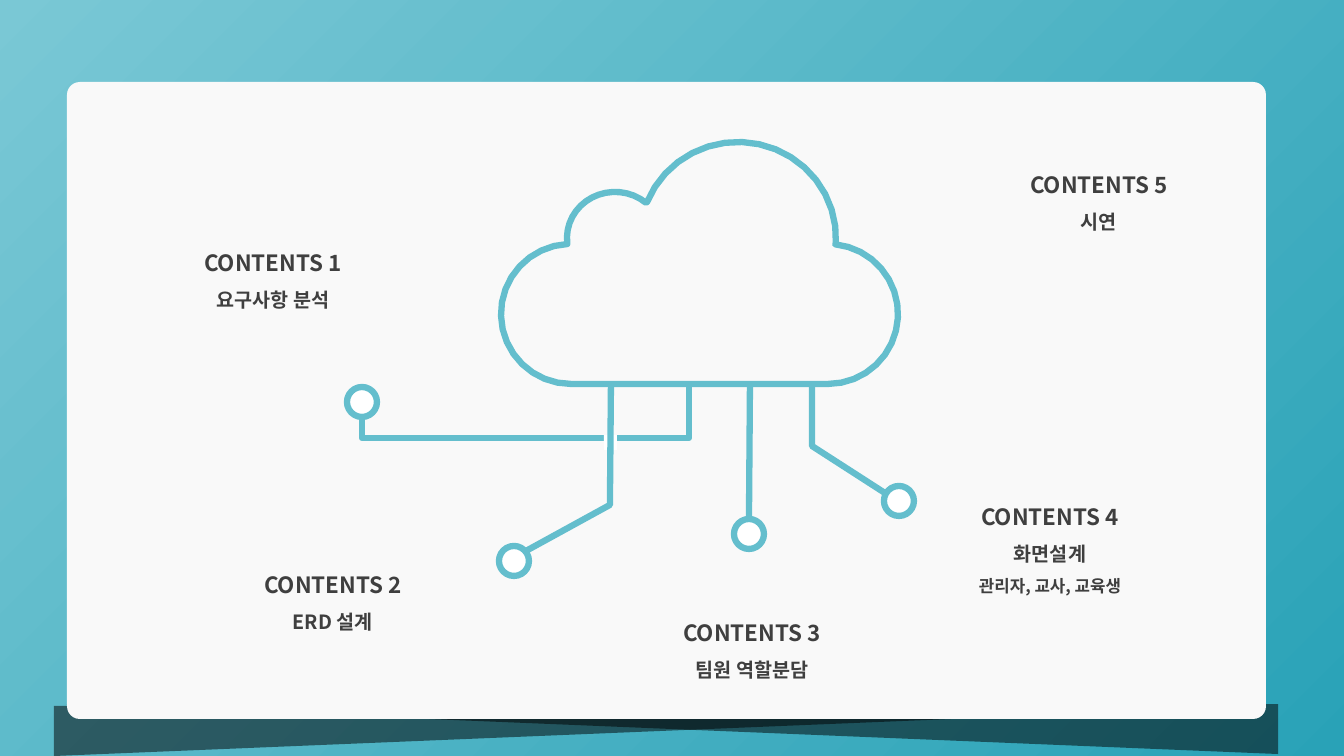
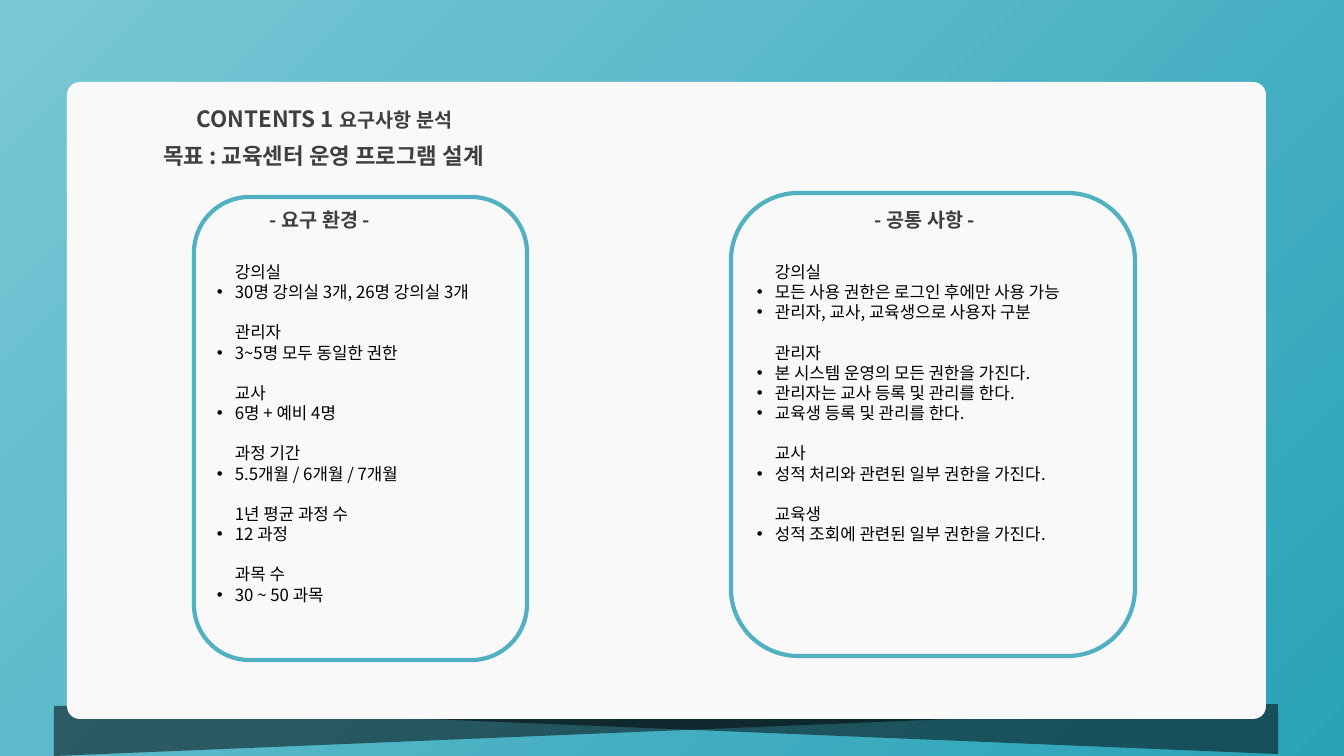
"""Builds the contents slide and the requirements slide of the training-centre project."""
from math import cos, radians, sin

from lxml.etree import SubElement
from pptx import Presentation
from pptx.dml.color import RGBColor
from pptx.enum.shapes import MSO_CONNECTOR, MSO_SHAPE
from pptx.enum.text import PP_ALIGN
from pptx.oxml.ns import qn
from pptx.util import Emu, Pt

SLIDE_W, SLIDE_H = 1344, 756
EMU_PER_PX = 12192000 / SLIDE_W

SKY = RGBColor(0x7A, 0xC8, 0xD5)
LAGOON = RGBColor(0x29, 0xA2, 0xB7)
CARD = RGBColor(0xF9, 0xF9, 0xF9)
WHITE = RGBColor(0xFF, 0xFF, 0xFF)
BLACK = RGBColor(0x00, 0x00, 0x00)
HEADING = RGBColor(0x3F, 0x3F, 0x3F)
CABLE = RGBColor(0x64, 0xBE, 0xCD)
PANEL = RGBColor(0x51, 0xB0, 0xC2)

FONT = "Noto Sans CJK KR"
CABLE_PT = 4.5
NODE = 30
TEXT_INDENT = 18

CONTENTS = [
    (139, 231, ["CONTENTS 1", "요구사항 분석"]),
    (199, 553, ["CONTENTS 2", "ERD 설계"]),
    (618, 601, ["CONTENTS 3", "팀원 역할분담"]),
    (916, 485, ["CONTENTS 4", "화면설계", "관리자, 교사, 교육생"]),
    (965, 153, ["CONTENTS 5", "시연"]),
]
CONTENTS_SIZES = (16, 14, 12)

# Each lobe: centre x, centre y, radius x, radius y, start and end angle.
CLOUD_LOBES = [
    (571, 314, 70, 70, 90, 267),
    (615, 238, 48, 46, 173, 310),
    (738, 238, 98, 96, 202, 363),
    (828, 314, 70, 70, 276, 450),
]

ENVIRONMENT = [
    ("강의실", ["30명 강의실 3개, 26명 강의실 3개"]),
    ("관리자", ["3~5명 모두 동일한 권한"]),
    ("교사", ["6명 + 예비 4명"]),
    ("과정 기간", ["5.5개월 / 6개월 / 7개월"]),
    ("1년 평균 과정 수", ["12 과정"]),
    ("과목 수", ["30 ~ 50 과목"]),
]
COMMON_RULES = [
    ("강의실", ["모든 사용 권한은 로그인 후에만 사용 가능",
             "관리자, 교사, 교육생으로 사용자 구분"]),
    ("관리자", ["본 시스템 운영의 모든 권한을 가진다.",
             "관리자는 교사 등록 및 관리를 한다.",
             "교육생 등록 및 관리를 한다."]),
    ("교사", ["성적 처리와 관련된 일부 권한을 가진다."]),
    ("교육생", ["성적 조회에 관련된 일부 권한을 가진다."]),
]


def px(length):
    """Turn pixels into EMU."""
    return Emu(round(length * EMU_PER_PX))


def paint(shape, fill=None, line=None, width=CABLE_PT):
    """Set fill and outline, leaving out whichever is not given."""
    shape.shadow.inherit = False
    if fill is None:
        shape.fill.background()
    else:
        shape.fill.solid()
        shape.fill.fore_color.rgb = fill
    if line is None:
        shape.line.fill.background()
    else:
        shape.line.color.rgb = line
        shape.line.width = Pt(width)
    return shape


def add_preset(slide, kind, box, **look):
    """Add a preset shape in a box of left, top, width, height."""
    return paint(slide.shapes.add_shape(kind, *map(px, box)), **look)


def add_outline(slide, points, close=False):
    """Draw an unfilled cable-coloured outline through the points."""
    start, *rest = [(px(x), px(y)) for x, y in points]
    builder = slide.shapes.build_freeform(*start)
    builder.add_line_segments(rest, close=close)
    return paint(builder.convert_to_shape(), line=CABLE)


def add_text_box(slide, box):
    """Add a wrapping text box and return its frame."""
    frame = slide.shapes.add_textbox(*map(px, box)).text_frame
    frame.word_wrap = True
    return frame


def next_paragraph(frame, indent=0, bullet=False, before=0):
    """Return the next free paragraph, indented and bulleted as asked."""
    first = frame.paragraphs[0]
    paragraph = frame.add_paragraph() if first.runs else first
    if indent:
        properties = paragraph._p.get_or_add_pPr()
        properties.set("marL", str(px(indent)))
        if bullet:
            properties.set("indent", str(-px(indent)))
            SubElement(properties, qn("a:buFont"), typeface="Arial")
            SubElement(properties, qn("a:buChar"), char="•")
    if before:
        paragraph.space_before = Pt(before)
    return paragraph


def write(paragraph, text, size=12, color=HEADING, bold=True):
    """Add one formatted run to a paragraph."""
    run = paragraph.add_run()
    run.text = text
    font = run.font
    font.name, font.size, font.bold = FONT, Pt(size), bold
    font.color.rgb = color
    SubElement(font._element, qn("a:ea"), typeface=FONT)


def heading_line(frame, *parts):
    """Write a centred heading line from pairs of text and size."""
    paragraph = next_paragraph(frame)
    paragraph.alignment = PP_ALIGN.CENTER
    paragraph.line_spacing = 1.5
    for text, size in parts:
        write(paragraph, text, size=size)


def add_card_slide(deck):
    """Add a slide with the gradient, the folded shadow and the card."""
    slide = deck.slides.add_slide(deck.slide_layouts[6])
    backdrop = slide.background.fill
    backdrop.gradient()
    backdrop.gradient_angle = 315
    for stop, color in zip(backdrop.gradient_stops, (SKY, LAGOON)):
        stop.color.rgb = color
    for left, top, flipped in ((66, 704, False), (54, 706, True)):
        fold = add_preset(slide, MSO_SHAPE.RIGHT_TRIANGLE,
                          (left, top, 1212, 50), fill=BLACK)
        fold.rotation = 180
        if flipped:
            fold._element.spPr.xfrm.set("flipH", "1")
        tint = fold._element.spPr.find(qn("a:solidFill"))[0]
        SubElement(tint, qn("a:alpha"), val="51000")
    card = add_preset(slide, MSO_SHAPE.ROUNDED_RECTANGLE,
                      (67, 82, 1199, 637), fill=CARD)
    card.adjustments[0] = 0.02
    return slide


def lobe_points(cx, cy, rx, ry, start, end, steps=16):
    """Sample one elliptical lobe clockwise."""
    angles = [radians(start + (end - start) * i / steps) for i in range(steps + 1)]
    return [(cx + rx * cos(a), cy + ry * sin(a)) for a in angles]


def add_node(slide, left, top):
    """Add the ring at the end of a cable."""
    return add_preset(slide, MSO_SHAPE.OVAL, (left, top, NODE, NODE),
                      fill=WHITE, line=CABLE)


def add_cloud(slide):
    """Draw the cloud with its four cables and rings."""
    add_outline(slide, [p for lobe in CLOUD_LOBES for p in lobe_points(*lobe)],
                close=True)
    for left, top in ((347, 387), (884, 486), (499, 546)):
        add_node(slide, left, top)
    middle_node = add_node(slide, 734, 519)
    cable = slide.shapes.add_connector(MSO_CONNECTOR.STRAIGHT,
                                       px(750), px(384), px(749), px(519))
    cable.end_connect(middle_node, 0)
    cable.line.color.rgb = CABLE
    cable.line.width = Pt(CABLE_PT)
    SubElement(cable._element.spPr, qn("a:effectLst"))
    add_outline(slide, [(812, 387), (812, 446), (885, 493)])
    add_outline(slide, [(362, 419), (362, 438), (689, 438), (689, 384)])
    add_preset(slide, MSO_SHAPE.RECTANGLE, (604, 435, 13, 15), fill=WHITE)
    add_outline(slide, [(611, 384), (610, 505), (526, 551)])


def add_panel(slide, text_box, outline, title, title_indent, groups):
    """Add a rounded panel with a title and bulleted groups."""
    frame = add_text_box(slide, text_box)
    write(next_paragraph(frame, indent=title_indent), title, size=14)
    body = {"color": BLACK, "bold": False}
    for number, (name, items) in enumerate(groups):
        gap = 14.4 if number else 21.6
        write(next_paragraph(frame, indent=TEXT_INDENT, before=gap), name, **body)
        for item in items:
            write(next_paragraph(frame, indent=TEXT_INDENT, bullet=True), item, **body)
    add_preset(slide, MSO_SHAPE.ROUNDED_RECTANGLE, outline, line=PANEL, width=3)


def build_contents(deck):
    """Build the contents slide."""
    slide = add_card_slide(deck)
    add_cloud(slide)
    for left, top, lines in CONTENTS:
        frame = add_text_box(slide, (left, top, 268, 87 + 30 * (len(lines) - 2)))
        for part in zip(lines, CONTENTS_SIZES):
            heading_line(frame, part)


def build_requirements(deck):
    """Build the requirements slide."""
    slide = add_card_slide(deck)
    heading_line(add_text_box(slide, (82, 87, 485, 50)),
                 ("CONTENTS 1 ", 16), ("요구사항 분석", 14))
    heading_line(add_text_box(slide, (81, 124, 485, 45)),
                 ("목표 : 교육센터 운영 프로그램 설계", 16))
    add_panel(slide, (207, 203, 314, 452), (194, 197, 333, 463),
              "- 요구 환경 -", 53, ENVIRONMENT)
    add_panel(slide, (747, 203, 384, 452), (731, 193, 404, 463),
              "- 공통 사항 -", 118, COMMON_RULES)


def main():
    """Build both slides and save the deck."""
    deck = Presentation()
    deck.slide_width, deck.slide_height = px(SLIDE_W), px(SLIDE_H)
    build_contents(deck)
    build_requirements(deck)
    deck.save("out.pptx")


if __name__ == "__main__":
    main()
